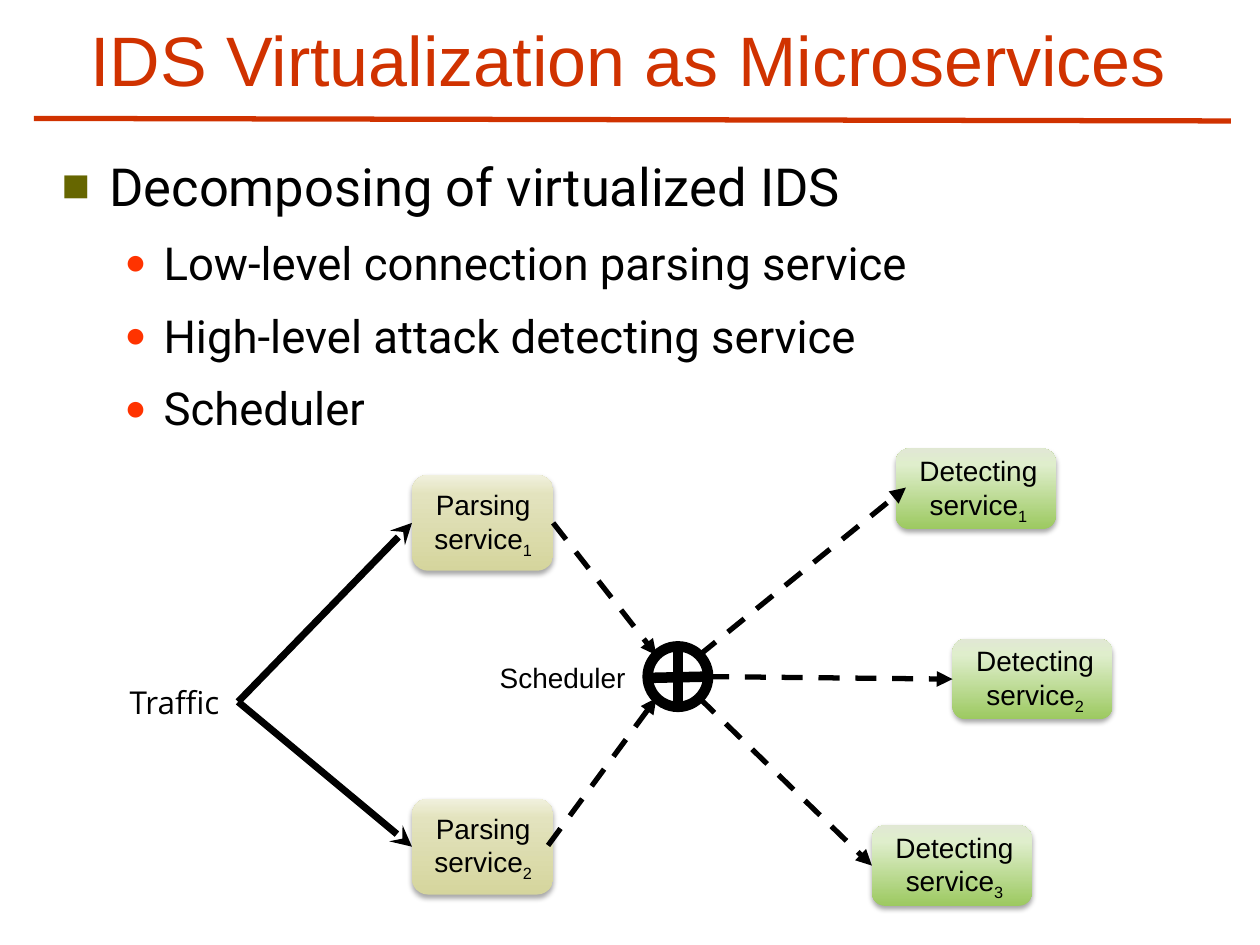
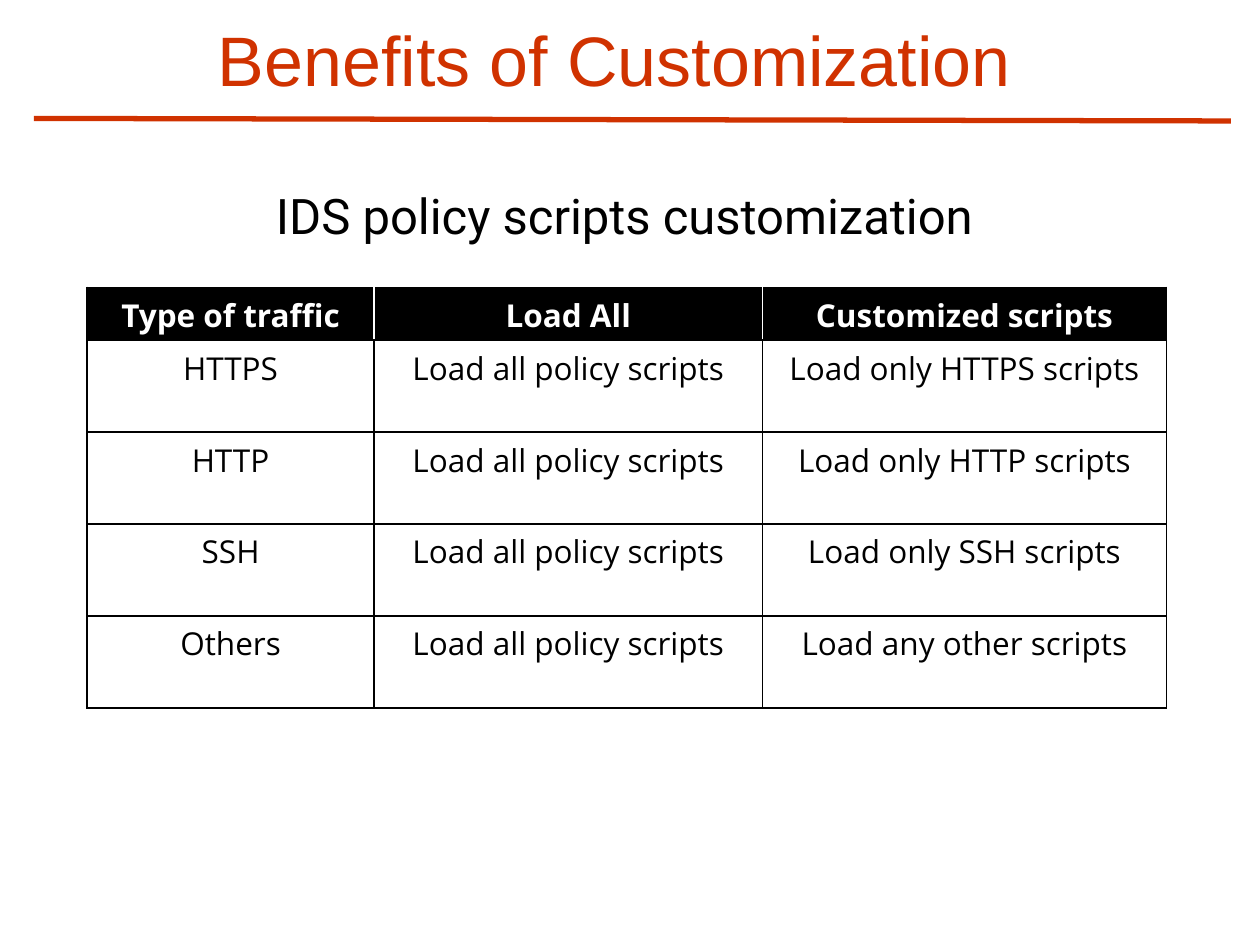
"""Build two slides on splitting an intrusion detection system into microservices."""
from lxml import etree
from pptx import Presentation, util as u
from pptx.dml.color import RGBColor
from pptx.enum import dml, shapes, text
from pptx.oxml.ns import qn

COLORS = {"accent": "D03200", "ink": "000000", "paper": "FFFFFF",
          "square": "666600", "dot": "FF3300"}
GRADIENTS = {"Parsing": [(0, "D5D59D"), (80, "E3E3BE"), (100, "F1F1DE")],
             "Detecting": [(0, "9CC960"), (80, "DFEECC"), (100, "E1E8D4")]}
TITLE_FONT, BODY_FONT, PLAIN_FONT = "Arial", "Roboto", "Open Sans"
CENTER = text.PP_ALIGN.CENTER
SPACE_RATIO = 0.4

LEVELS = [
    {"size": 30, "indent": (0.38, -0.38), "mark": "\u25a0", "color": "square", "percent": 90},
    {"size": 26, "indent": (0.81, -0.31), "mark": "\u25cf", "color": "dot", "percent": 80},
]
OUTLINE = [
    (0, "Decomposing of virtualized IDS"),
    (1, "Low-level connection parsing service"),
    (1, "High-level attack detecting service"),
    (1, "Scheduler"),
]
SERVICE_SIZES = {"Parsing": (1.12, 0.76), "Detecting": (1.27, 0.64)}
LABEL_BOXES = {"Parsing": (0.05, 0.05, 1.03, 0.64), "Detecting": (0.08, -0.01, 1.15, 0.64)}
SERVICES = [
    ("Parsing", "1", 3.27, 3.77),
    ("Parsing", "2", 3.27, 6.34),
    ("Detecting", "1", 7.11, 3.56),
    ("Detecting", "2", 7.56, 5.07),
    ("Detecting", "3", 6.92, 6.55),
]
TRAFFIC_FLOWS = [((1.89, 5.57), (3.27, 4.15)), ((1.89, 5.57), (3.27, 6.72))]
SCHEDULED_FLOWS = [
    ((4.39, 4.15), (5.21, 5.2)),
    ((4.35, 6.71), (5.21, 5.54)),
    ((5.55, 5.54), (6.92, 6.87)),
    ((5.62, 5.37), (7.56, 5.39)),
    ((5.55, 5.2), (7.19, 3.87)),
]
SCHEDULER_RING = (5.14, 5.13, 0.48, 0.48)

POLICY_HEADER = ("Type of traffic", "Load All", "Customized scripts")
POLICY_SCOPES = [("HTTPS", "only HTTPS"), ("HTTP", "only HTTP"),
                 ("SSH", "only SSH"), ("Others", "any other")]
POLICY_ROWS = [POLICY_HEADER] + [
    (kind, "Load all policy scripts", f"Load {scope} scripts") for kind, scope in POLICY_SCOPES]
COLUMN_WIDTHS = (2.28, 3.08, 3.21)
ROW_HEIGHTS = (0.42,) + (0.73,) * len(POLICY_SCOPES)


def rgb(name):
    return RGBColor.from_string(COLORS[name])


def inches(values):
    return [u.Inches(value) for value in values]


def assign(target, values):
    for name, value in values.items():
        setattr(target, name, value)


def node(parent, tag, **attributes):
    return etree.SubElement(parent, qn(tag), {key: str(val) for key, val in attributes.items()})


def write(paragraph, words, size, font, color="ink", bold=False, baseline=None):
    run = paragraph.add_run()
    run.text = words
    assign(run.font, {"size": u.Pt(size), "name": font, "bold": bold})
    run.font.color.rgb = rgb(color)
    if baseline:
        run._r.get_or_add_rPr().set("baseline", str(baseline))


def frame(slide, box, **settings):
    area = slide.shapes.add_textbox(*inches(box)).text_frame
    assign(area, {"word_wrap": True, **settings})
    return area


def label(slide, box, words, size, font, color="ink", align=CENTER, **settings):
    paragraph = frame(slide, box, **settings).paragraphs[0]
    paragraph.alignment = align
    write(paragraph, words, size, font, color)
    return paragraph


def line(slide, start, end, width, color="ink", head=None, dashed=False):
    stroke = slide.shapes.add_connector(shapes.MSO_CONNECTOR.STRAIGHT, *inches(start + end))
    stroke.line.width = u.Pt(width)
    stroke.line.color.rgb = rgb(color)
    if dashed:
        stroke.line.dash_style = dml.MSO_LINE.DASH
    if head:
        node(stroke.line._get_or_add_ln(), "a:tailEnd", type=head)
    node(stroke._element.spPr, "a:effectLst")


def start_slide(deck, title, box):
    slide = deck.slides.add_slide(deck.slide_layouts[6])
    line(slide, (0.27, 0.94), (9.77, 0.96), 3, "accent")
    label(slide, box, title, 40, TITLE_FONT, "accent",
          vertical_anchor=text.MSO_ANCHOR.BOTTOM)
    return slide


def add_outline(slide):
    area = frame(slide, (0.39, 1.17, 9.36, 2.1))
    for index, (depth, words) in enumerate(OUTLINE):
        level = LEVELS[depth]
        paragraph = area.add_paragraph() if index else area.paragraphs[0]
        assign(paragraph, {"level": depth, "space_before": u.Pt(level["size"] * SPACE_RATIO)})
        margin, hanging = inches(level["indent"])
        props = paragraph._p.get_or_add_pPr()
        props.set("marL", str(margin))
        props.set("indent", str(hanging))
        node(node(props, "a:buClr"), "a:srgbClr", val=COLORS[level["color"]])
        node(props, "a:buSzPct", val=level["percent"] * 1000)
        node(props, "a:buFont", typeface=TITLE_FONT)
        node(props, "a:buChar", char=level["mark"])
        write(paragraph, words, level["size"], BODY_FONT)


def add_service(slide, kind, number, left, top):
    card = slide.shapes.add_shape(shapes.MSO_SHAPE.ROUNDED_RECTANGLE,
                                  *inches((left, top) + SERVICE_SIZES[kind]))
    card.line.fill.background()
    card.fill.gradient()
    card.fill.gradient_angle = 90
    stops = card._element.spPr.find(".//" + qn("a:gsLst"))
    for stop in list(stops):
        stops.remove(stop)
    for position, shade in GRADIENTS[kind]:
        node(node(stops, "a:gs", pos=position * 1000), "a:srgbClr", val=shade)
    card.shadow.inherit = False
    shadow = node(card._element.spPr.find(qn("a:effectLst")), "a:outerShdw",
                  blurRad=u.Pt(3.1), dist=u.Pt(1.8), dir=5400000, rotWithShape=0)
    node(node(shadow, "a:srgbClr", val=COLORS["ink"]), "a:alpha", val=35000)
    dx, dy, width, height = LABEL_BOXES[kind]
    caption = label(slide, (left + dx, top + dy, width, height),
                    f"{kind} service", 16, TITLE_FONT)
    write(caption, number, 16, TITLE_FONT, baseline=-25000)


def add_scheduler(slide):
    ring = slide.shapes.add_shape(shapes.MSO_SHAPE.OVAL, *inches(SCHEDULER_RING))
    ring.shadow.inherit = False
    ring.fill.background()
    ring.line.width = u.Pt(6)
    ring.line.color.rgb = rgb("ink")
    line(slide, (5.16, 5.38), (5.62, 5.37), 6)
    line(slide, (5.38, 5.61), (5.38, 5.13), 6)
    label(slide, (3.86, 5.19, 1.21, 0.37), "Scheduler", 16, TITLE_FONT)


def border_cell(cell, edges):
    props = cell._tc.get_or_add_tcPr()
    for side, color in edges.items():
        edge = node(props, f"a:ln{side}", w=u.Pt(1))
        node(node(edge, "a:solidFill"), "a:srgbClr", val=COLORS[color])


def add_policies(slide):
    grid = slide.shapes.add_table(
        len(POLICY_ROWS), len(COLUMN_WIDTHS),
        *inches((0.69, 2.28, sum(COLUMN_WIDTHS), sum(ROW_HEIGHTS)))).table
    assign(grid, {"first_row": False, "horz_banding": False})
    for column, width in zip(grid.columns, COLUMN_WIDTHS):
        column.width = u.Inches(width)
    for row, height in zip(grid.rows, ROW_HEIGHTS):
        row.height = u.Inches(height)
    last = len(COLUMN_WIDTHS) - 1
    for r, entries in enumerate(POLICY_ROWS):
        heading = r == 0
        for c, words in enumerate(entries):
            cell = grid.cell(r, c)
            border_cell(cell, {"L": "paper" if heading and c > 0 else "ink",
                               "R": "paper" if heading and c < last else "ink",
                               "T": "ink", "B": "ink"})
            cell.fill.solid()
            cell.fill.fore_color.rgb = rgb("ink" if heading else "paper")
            paragraph = cell.text_frame.paragraphs[0]
            paragraph.alignment = CENTER
            write(paragraph, words, 18, PLAIN_FONT, "paper" if heading else "ink", heading)


def main():
    deck = Presentation()
    assign(deck, {"slide_width": u.Inches(10), "slide_height": u.Inches(7.5)})

    services = start_slide(deck, "IDS Virtualization as Microservices", (0.24, 0.22, 9.49, 0.63))
    add_outline(services)
    for service in SERVICES:
        add_service(services, *service)
    for start, end in TRAFFIC_FLOWS:
        line(services, start, end, 4, head="stealth")
    label(services, (0.93, 5.37, 0.97, 0.4), "Traffic", 18, PLAIN_FONT,
          align=text.PP_ALIGN.LEFT, word_wrap=False)
    add_scheduler(services)
    for start, end in SCHEDULED_FLOWS:
        line(services, start, end, 3, head="triangle", dashed=True)

    benefits = start_slide(deck, "Benefits of Customization", (0.61, 0.22, 8.53, 0.63))
    subtitle = label(benefits, (0.95, 1.42, 8.01, 0.58),
                     "IDS policy scripts customization", 28, BODY_FONT)
    subtitle.space_before = u.Pt(28 * SPACE_RATIO)
    add_policies(benefits)

    deck.save("out.pptx")


main()
